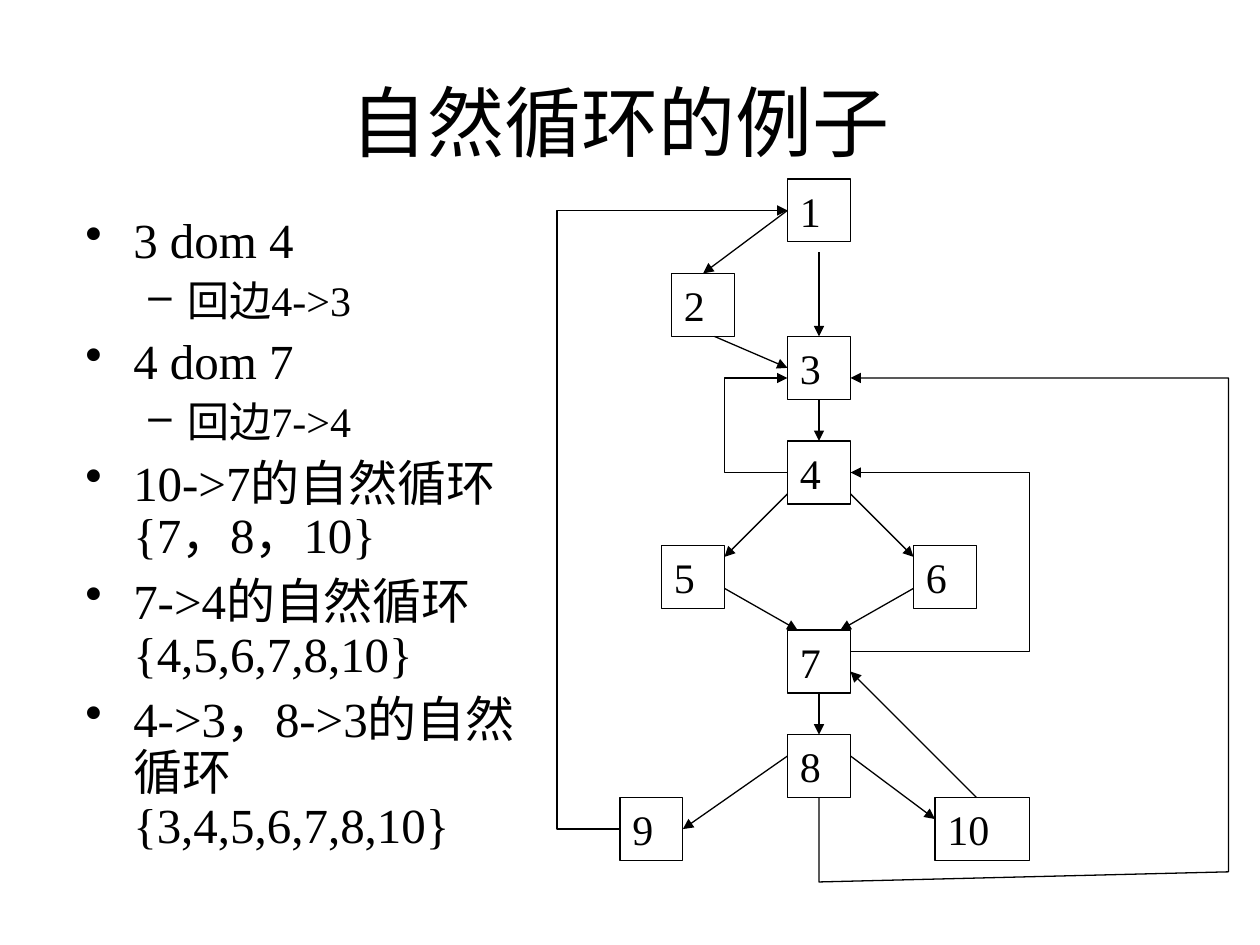
from lxml import etree
from pptx import Presentation
from pptx.dml.color import RGBColor
from pptx.enum.shapes import MSO_CONNECTOR, MSO_SHAPE
from pptx.enum.text import MSO_ANCHOR, PP_ALIGN
from pptx.oxml.ns import qn
from pptx.util import Inches, Pt

BLACK = RGBColor(0, 0, 0)
FONT = "Times New Roman"
STRAIGHT = MSO_CONNECTOR.STRAIGHT
RECTANGLE = MSO_SHAPE.RECTANGLE
TOP, MIDDLE = MSO_ANCHOR.TOP, MSO_ANCHOR.MIDDLE
LEFT, CENTER = PP_ALIGN.LEFT, PP_ALIGN.CENTER
TOP_SIDE, LEFT_SIDE, BOTTOM_SIDE, RIGHT_SIDE = range(4)

NODE_HEIGHT = 0.5
NODES = {
    "1": (6.25, 1.42, 0.5),
    "2": (5.33, 2.17, 0.5),
    "3": (6.25, 2.67, 0.5),
    "4": (6.25, 3.5, 0.5),
    "5": (5.25, 4.33, 0.5),
    "6": (7.25, 4.33, 0.5),
    "7": (6.25, 5, 0.5),
    "8": (6.25, 5.83, 0.5),
    "9": (4.92, 6.33, 0.5),
    "10": (7.42, 6.33, 0.75),
}

EDGES = [
    ((6.5, 2), (6.5, 2.67), None, ("3", TOP_SIDE)),
    ((6.25, 1.67), (5.58, 2.17), ("1", LEFT_SIDE), ("2", TOP_SIDE)),
    ((5.67, 2.67), (6.25, 2.92), None, ("3", LEFT_SIDE)),
    ((6.5, 3.17), (6.5, 3.5), ("3", BOTTOM_SIDE), ("4", TOP_SIDE)),
    ((6.25, 3.92), (5.75, 4.42), None, None),
    ((6.75, 3.92), (7.25, 4.42), None, None),
    ((5.75, 4.67), (6.33, 5), None, None),
    ((7.25, 4.67), (6.67, 5), None, None),
    ((6.5, 5.5), (6.5, 5.83), ("7", BOTTOM_SIDE), ("8", TOP_SIDE)),
    ((6.25, 6), (5.42, 6.58), None, ("9", RIGHT_SIDE)),
    ((6.75, 6), (7.42, 6.5), None, None),
    ((7.75, 6.33), (6.75, 5.33), None, None),
]

BACK_EDGES = [
    [(6.25, 3.75), (5.75, 3.75), (5.75, 3), (6.25, 3)],
    [(6.5, 6.33), (6.5, 7), (9.75, 6.92), (9.75, 3), (6.75, 3)],
    [(4.92, 6.58), (4.42, 6.58), (4.42, 1.67), (6.25, 1.67)],
    [(6.75, 5.17), (8.17, 5.17), (8.17, 3.75), (6.75, 3.75)],
]

LEVELS = [
    {"bullet": "•", "margin": 0.38, "hanging": 0.38, "size": 28, "before": 7},
    {"bullet": "–", "margin": 0.81, "hanging": 0.31, "size": 24, "before": 6},
]
POINTS = [
    (0, "3 dom 4"),
    (1, "回边4->3"),
    (0, "4 dom 7"),
    (1, "回边7->4"),
    (0, "10->7的自然循环{7，8，10}"),
    (0, "7->4的自然循环{4,5,6,7,8,10}"),
    (0, "4->3，8->3的自然循环{3,4,5,6,7,8,10}"),
]


def apply_format(target, values):
    for name, value in values.items():
        setattr(target, name, value)


def write(paragraph, text, size):
    run = paragraph.add_run()
    run.text = text
    apply_format(run.font, {"name": FONT, "size": Pt(size)})
    run.font.color.rgb = BLACK


def draw_outline(shape):
    shape.line.color.rgb = BLACK
    shape.line.width = Pt(0.75)


def add_arrowhead(shape):
    outline = shape._element.spPr.find(qn("a:ln"))
    etree.SubElement(outline, qn("a:tailEnd"), type="triangle")


def add_title(slide, text):
    title = slide.shapes.add_textbox(Inches(0.67), Inches(0.33), Inches(8.5), Inches(1.25))
    frame = title.text_frame
    apply_format(frame, {"word_wrap": True, "vertical_anchor": MIDDLE})
    frame.paragraphs[0].alignment = CENTER
    write(frame.paragraphs[0], text, 44)


def set_bullet(paragraph, style):
    properties = paragraph._p.get_or_add_pPr()
    properties.set("marL", str(Inches(style["margin"])))
    properties.set("indent", str(-Inches(style["hanging"])))
    color = etree.SubElement(properties, qn("a:buClr"))
    etree.SubElement(color, qn("a:srgbClr"), val=str(BLACK))
    etree.SubElement(properties, qn("a:buChar"), char=style["bullet"])


def add_points(slide):
    body = slide.shapes.add_textbox(Inches(0.58), Inches(1.67), Inches(3.67), Inches(5.17))
    frame = body.text_frame
    frame.word_wrap = True
    for index, (level, text) in enumerate(POINTS):
        style = LEVELS[level]
        paragraph = frame.add_paragraph() if index else frame.paragraphs[0]
        set_bullet(paragraph, style)
        before = Pt(style["before"] if index else 0)
        apply_format(paragraph, {"level": level, "line_spacing": 0.9, "space_before": before})
        write(paragraph, text, style["size"])


def add_node(slide, label, left, top, width):
    node = slide.shapes.add_shape(
        RECTANGLE, Inches(left), Inches(top), Inches(width), Inches(NODE_HEIGHT)
    )
    node.shadow.inherit = False
    node.fill.background()
    draw_outline(node)
    node.text_frame.vertical_anchor = TOP
    paragraph = node.text_frame.paragraphs[0]
    paragraph.alignment = LEFT
    write(paragraph, label, 24)
    return node


def add_edge(slide, nodes, start, end, source, target):
    edge = slide.shapes.add_connector(STRAIGHT, *map(Inches, start + end))
    if source:
        edge.begin_connect(nodes[source[0]], source[1])
    if target:
        edge.end_connect(nodes[target[0]], target[1])
    draw_outline(edge)
    add_arrowhead(edge)
    etree.SubElement(edge._element.spPr, qn("a:effectLst"))


def add_back_edge(slide, points):
    start, *corners = [(Inches(x), Inches(y)) for x, y in points]
    builder = slide.shapes.build_freeform(*start)
    builder.add_line_segments(corners, close=False)
    back_edge = builder.convert_to_shape()
    back_edge.shadow.inherit = False
    back_edge.fill.background()
    draw_outline(back_edge)
    add_arrowhead(back_edge)


def main():
    presentation = Presentation()
    apply_format(presentation, {"slide_width": Inches(10), "slide_height": Inches(7.5)})
    slide = presentation.slides.add_slide(presentation.slide_layouts[6])
    add_title(slide, "自然循环的例子")
    add_points(slide)
    nodes = {label: add_node(slide, label, *place) for label, place in NODES.items()}
    for edge in EDGES:
        add_edge(slide, nodes, *edge)
    for points in BACK_EDGES:
        add_back_edge(slide, points)
    presentation.save("out.pptx")


if __name__ == "__main__":
    main()
